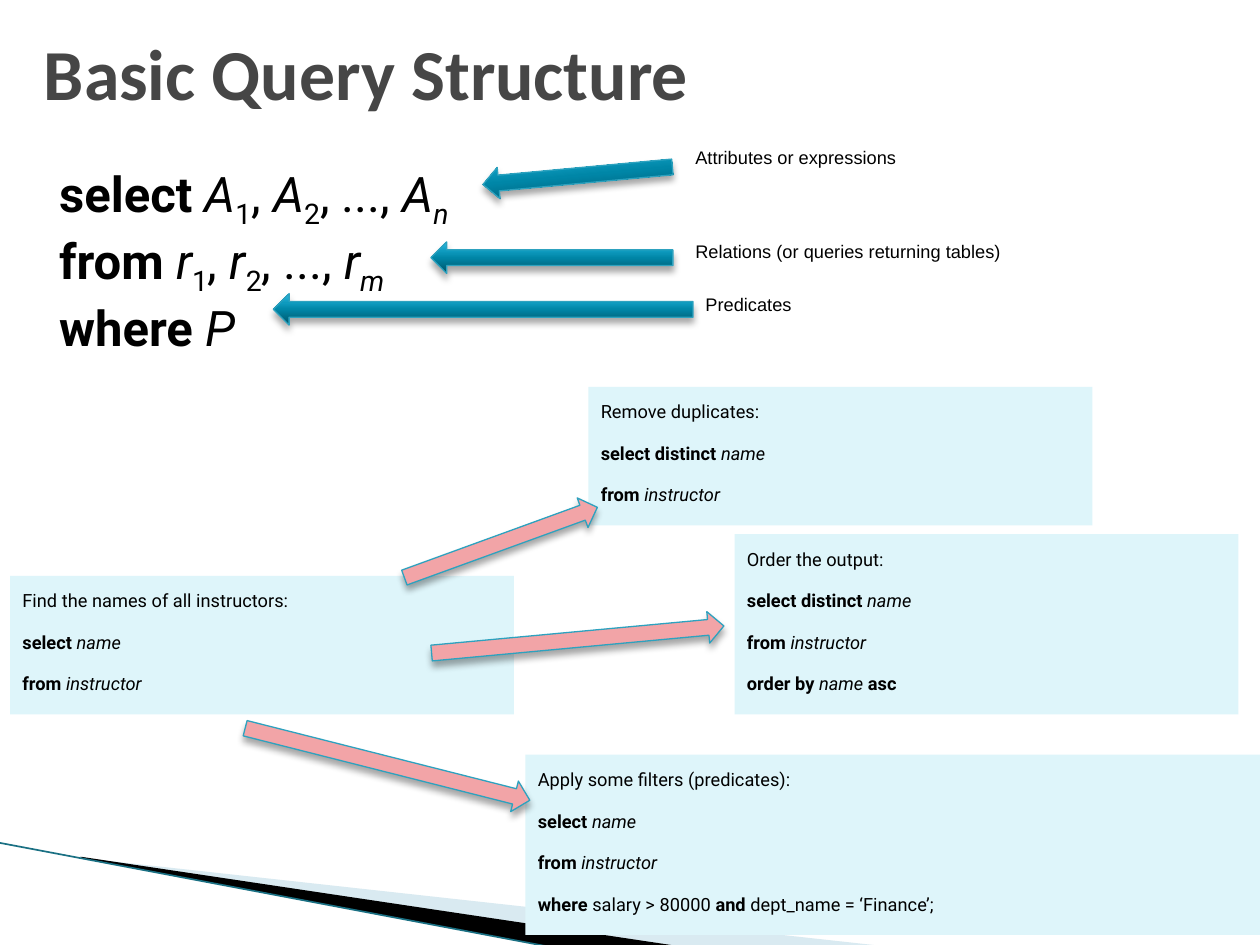
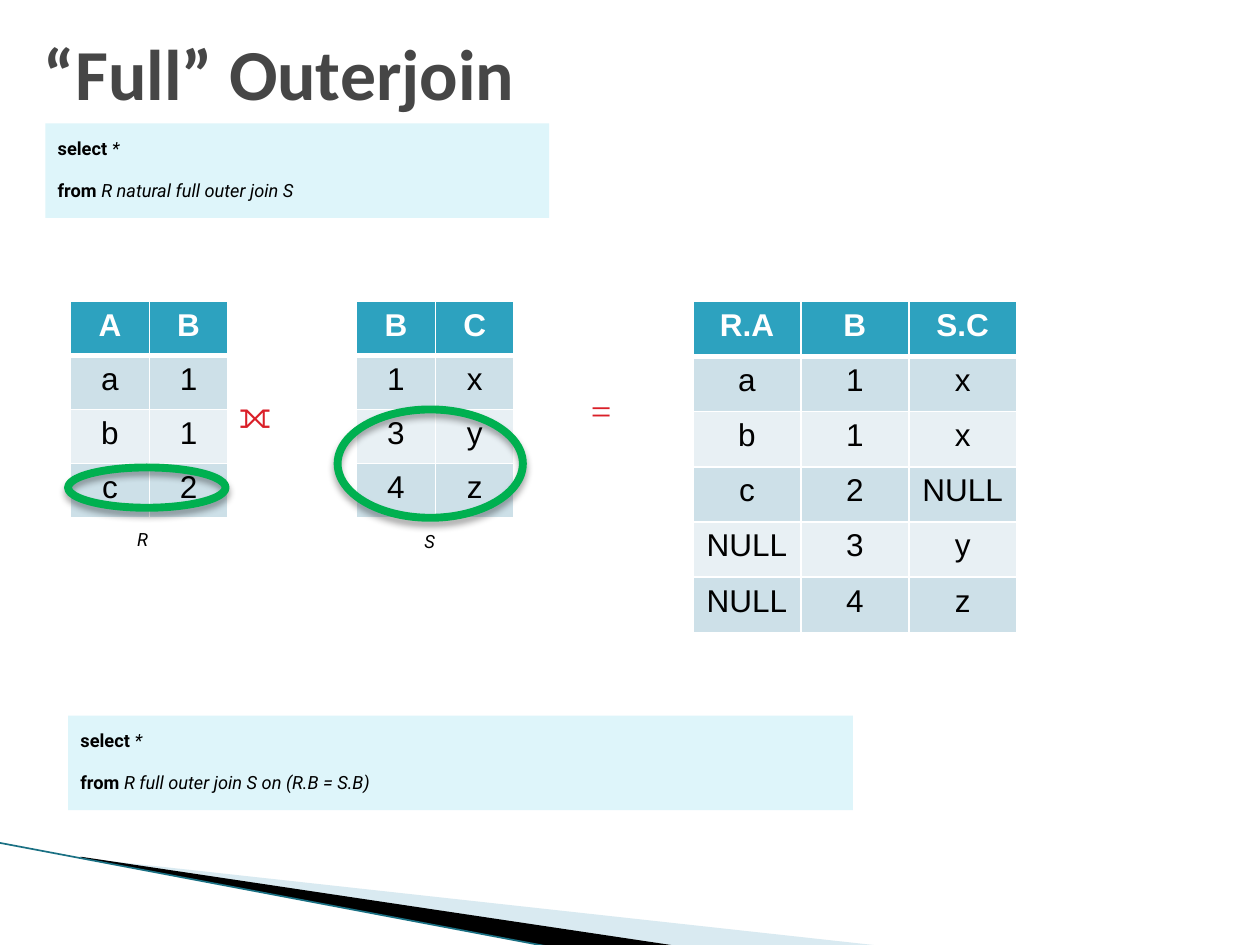
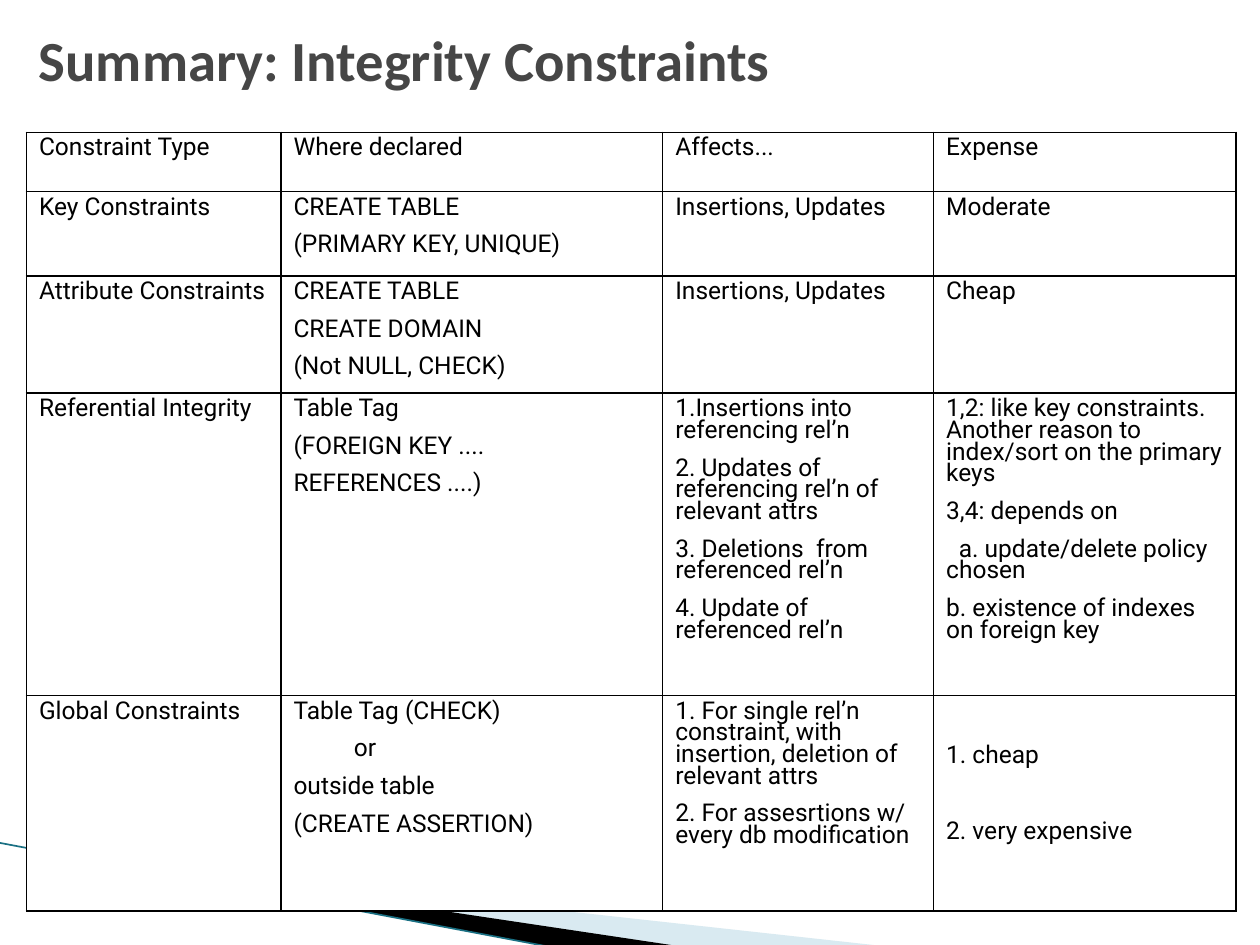
from pptx import Presentation
from pptx.dml.color import RGBColor
from pptx.enum.shapes import MSO_CONNECTOR, MSO_SHAPE
from pptx.enum.text import MSO_ANCHOR, PP_ALIGN
from pptx.oxml import parse_xml
from pptx.oxml.ns import nsdecls, qn
from pptx.util import Inches, Pt

BLACK = RGBColor(0, 0, 0)
WHITE = RGBColor(0xFF, 0xFF, 0xFF)
GREY = RGBColor(0x46, 0x46, 0x46)
SKY = RGBColor(0xA0, 0xCB, 0xDC)
EDGE = RGBColor(0x1A, 0x70, 0x83)
TEAL = RGBColor(0x2D, 0xA2, 0xBF)
PALE = RGBColor(0xDE, 0xF5, 0xFA)
PINK = RGBColor(0xF2, 0xA4, 0xA7)
GREEN = RGBColor(0x00, 0xB0, 0x50)
RED = RGBColor(0xDA, 0x1F, 0x28)
BANDS = RGBColor(0xCD, 0xE0, 0xE8), RGBColor(0xE8, 0xF0, 0xF4)
RAMP = (0, "005367"), (50, "0086A7"), (70, "0E9ABE"), (100, "2CB9E3")

SUPER, SUB = "30000", "-25000"

# Run styles: b bold, i italic, s subscript
SELECT, NAME = ("select ", "b"), ("name", "i")
FROM = [("from ", "b"), ("instructor", "i")]
DISTINCT = [("select distinct ", "b"), NAME]
STAR = [SELECT, ("*", "i")]


def place(at):
    return [Inches(n) for n in at]


def set_font(par, name, size, color):
    par.font.name = name
    par.font.size = Pt(size)
    par.font.color.rgb = color


def add_runs(par, runs, base=None):
    for text, style in runs:
        run = par.add_run()
        run.text = text
        run.font.bold = "b" in style
        run.font.italic = "i" in style
        shift = SUB if "s" in style else base
        if shift:
            run._r.get_or_add_rPr().set("baseline", shift)


def add_lines(frame, lines, name, size, color=BLACK, base=None, space=None):
    for k, runs in enumerate(lines):
        par = frame.paragraphs[0] if k == 0 else frame.add_paragraph()
        par.alignment = PP_ALIGN.LEFT
        if space:
            par.line_spacing = space
        set_font(par, name, size, color)
        add_runs(par, runs, base)


def add_text(slide, at, lines, name, size, color=BLACK, base=None):
    frame = slide.shapes.add_textbox(*place(at)).text_frame
    frame.word_wrap = True
    add_lines(frame, lines, name, size, color, base)
    return frame


def add_label(slide, at, text, name="Arial", size=18, color=BLACK, style=""):
    add_text(slide, at, [[(text, style)]], name, size, color, SUPER)


def add_title(slide, at, text, size=41):
    frame = add_text(slide, at, [[(text, "b")]], "Calibri", size, GREY)
    frame.vertical_anchor = MSO_ANCHOR.MIDDLE


def add_query(slide, at, lines):
    """Pale box with SQL in small raised type."""
    box = slide.shapes.add_shape(MSO_SHAPE.RECTANGLE, *place(at))
    box.shadow.inherit = False
    box.fill.solid()
    box.fill.fore_color.rgb = PALE
    box.line.fill.background()
    frame = box.text_frame
    frame.word_wrap = True
    frame.vertical_anchor = MSO_ANCHOR.TOP
    add_lines(frame, lines, "Roboto", 18, base=SUPER, space=1.1)


def add_shade(shape):
    """Soft shadow straight below the shape."""
    shape.shadow.inherit = False
    shape._element.spPr.find(qn("a:effectLst")).append(parse_xml(
        f'<a:outerShdw {nsdecls("a")} blurRad="{Pt(4)}" dist="{Pt(3)}" '
        'dir="5400000" rotWithShape="0"><a:srgbClr val="000000">'
        '<a:alpha val="35000"/></a:srgbClr></a:outerShdw>'))


def add_arrow(slide, at, turn=0, color=None):
    """Left arrow, filled with the teal ramp unless a color is given."""
    arrow = slide.shapes.add_shape(MSO_SHAPE.LEFT_ARROW, *place(at))
    arrow.rotation = turn
    add_shade(arrow)
    arrow.line.color.rgb = TEAL
    arrow.line.width = Pt(0.75)
    arrow.fill.solid()
    arrow.fill.fore_color.rgb = color or TEAL
    if color is None:
        stops = "".join(f'<a:gs pos="{pos * 1000}"><a:srgbClr val="{tone}"/></a:gs>'
                        for pos, tone in RAMP)
        props = arrow._element.spPr
        props.replace(props.find(qn("a:solidFill")), parse_xml(
            f'<a:gradFill {nsdecls("a")} rotWithShape="1"><a:gsLst>{stops}'
            '</a:gsLst><a:lin ang="16200000" scaled="0"/></a:gradFill>'))


def add_ring(slide, at):
    ring = slide.shapes.add_shape(MSO_SHAPE.OVAL, *place(at))
    add_shade(ring)
    ring.fill.background()
    ring.line.color.rgb = GREEN
    ring.line.width = Pt(4.5)


def set_frame(shape, at):
    """Give a freeform a new frame while its outline stays in place."""
    left, top, width, height = place(at)
    for pt in shape._element.iter(qn("a:pt")):
        pt.set("x", str(int(pt.get("x")) + shape.left - left))
        pt.set("y", str(int(pt.get("y")) + shape.top - top))
    for outline in shape._element.iter(qn("a:path")):
        outline.set("w", str(width))
        outline.set("h", str(height))
    shape.left, shape.top, shape.width, shape.height = left, top, width, height


def add_wedge(slide, at, points, color, alpha=100):
    first, *rest = [place(point) for point in points]
    build = slide.shapes.build_freeform(*first, scale=1.0)
    build.add_line_segments(rest)
    wedge = build.convert_to_shape()
    set_frame(wedge, at)
    wedge.shadow.inherit = False
    wedge.fill.solid()
    wedge.fill.fore_color.rgb = color
    wedge.line.fill.background()
    if alpha < 100:
        tone = wedge._element.spPr.find(qn("a:solidFill"))[0]
        tone.append(parse_xml(f'<a:alpha {nsdecls("a")} val="{alpha * 1000}"/>'))


def add_slide(deck):
    """Blank slide with the swoosh at the bottom left."""
    slide = deck.slides.add_slide(deck.slide_layouts[6])
    add_wedge(slide, (0.93, 6.08, 4.9, 1.11),
              [(0.65, 6.81), (7.02, 7.51), (5.38, 7.51), (0.66, 6.81)], SKY, 40)
    add_wedge(slide, (-0.06, 6.68, 4.9, 0.64),
              [(0.64, 6.8), (5.39, 7.51), (4.39, 7.52), (0.65, 6.81)], BLACK)
    line = slide.shapes.add_connector(
        MSO_CONNECTOR.STRAIGHT, *place((0, 6.69, 4.39, 7.52)))
    line.line.color.rgb = EDGE
    line.line.width = Pt(0.95)
    line._element.spPr.append(parse_xml(f'<a:effectLst {nsdecls("a")}/>'))
    return slide


def style_cell(cell, fill, edge, top=1, low=1):
    cell.fill.solid()
    cell.fill.fore_color.rgb = fill
    props = cell._tc.get_or_add_tcPr()
    for k, (side, width) in enumerate(zip("LRTB", (1, 1, top, low))):
        props.insert(k, parse_xml(
            f'<a:ln{side} {nsdecls("a")} w="{Pt(width)}"><a:solidFill>'
            f'<a:srgbClr val="{edge}"/></a:solidFill></a:ln{side}>'))


def add_grid(slide, left, top, widths, heights):
    frame = slide.shapes.add_table(
        len(heights), len(widths),
        *place((left, top, sum(widths), sum(heights))))
    table = frame.table
    table.first_row = table.horz_banding = False
    for col, width in zip(table.columns, widths):
        col.width = Inches(width)
    for row, height in zip(table.rows, heights):
        row.height = Inches(height)
    return table


def add_relation(slide, left, width, height, rows):
    """Banded table of equal cells; each row is a string of words."""
    rows = [row.split() for row in rows]
    cols, count = len(rows[0]), len(rows)
    table = add_grid(slide, left, 2.39, [width / cols] * cols,
                     [height / count] * count)
    for r, row in enumerate(rows):
        for c, text in enumerate(row):
            cell = table.cell(r, c)
            fill = BANDS[(r - 1) % 2] if r else TEAL
            style_cell(cell, fill, WHITE, 3 if r == 1 else 1, 1 if r else 3)
            par = cell.text_frame.paragraphs[0]
            par.alignment = PP_ALIGN.CENTER
            set_font(par, "Arial", 18, BLACK if r else WHITE)
            add_runs(par, [(text, "" if r else "b")])


def fill_cell(cell, text, gap=9.1, shift=None):
    """One paragraph a line; shift maps a line number to its first-line indent."""
    style_cell(cell, WHITE, BLACK)
    frame = cell.text_frame
    for k, line in enumerate(text.split("\n")):
        par = frame.paragraphs[0] if k == 0 else frame.add_paragraph()
        par.line_spacing = 0.75
        if k:
            par.space_before = Pt(gap)
        if shift and k in shift:
            par._p.get_or_add_pPr().set("indent", str(Inches(shift[k])))
        set_font(par, "Roboto", 14, BLACK)
        par.add_run().text = line


def make_query(deck):
    slide = add_slide(deck)
    add_title(slide, (0.25, 0.17, 9.25, 0.8), "Basic Query Structure")

    def series(word, letter, last):
        return [(word, "b"), (letter, "i"), ("1", "s"), (", ", ""),
                (letter, "i"), ("2", "s"), (", ..., ", ""),
                (letter, "i"), (last, "is")]

    body = add_text(slide, (0.25, 1.25, 3.92, 1.92),
                    [series("select ", "A", "n"), series("from ", "r", "m"),
                     [("where ", "b"), ("P", "i")]], "Roboto", 28)
    body.margin_left = Inches(0.22)

    add_label(slide, (5.42, 1.08, 2.99, 0.4), "Attributes or expressions")
    add_label(slide, (5.42, 1.83, 4.43, 0.4), "Relations (or queries returning tables)")
    add_label(slide, (5.5, 2.25, 1.39, 0.4), "Predicates")
    add_arrow(slide, (3.83, 1.27, 1.51, 0.25), 354.7)
    add_arrow(slide, (3.42, 1.92, 1.92, 0.25))
    add_arrow(slide, (2.17, 2.33, 3.33, 0.25))

    add_query(slide, (0.08, 4.57, 4, 1.1),
              [[("Find the names of all instructors:", "")], [SELECT, NAME], FROM])
    add_query(slide, (4.17, 5.99, 5.92, 1.43),
              [[("Apply some filters (predicates):", "")], [SELECT, NAME], FROM,
               [("where ", "b"), ("salary > 80000 ", ""), ("and ", "b"),
                ("dept_name = ‘Finance’;", "")]])
    add_query(slide, (4.67, 3.07, 4, 1.1),
              [[("Remove duplicates:", "")], DISTINCT, FROM])
    add_query(slide, (5.83, 4.24, 4, 1.43),
              [[("Order the output:", "")], DISTINCT, FROM,
               [("order by ", "b"), ("name ", "i"), ("asc", "b")]])
    add_arrow(slide, (3.16, 4.18, 1.63, 0.25), 160, PINK)
    add_arrow(slide, (3.42, 4.95, 2.33, 0.25), 174.7, PINK)
    add_arrow(slide, (1.91, 5.94, 2.33, 0.25), 194.2, PINK)


def make_join(deck):
    slide = add_slide(deck)
    add_relation(slide, 5.5, 2.57, 2.63,
                 ["R.A B S.C", "a 1 x", "b 1 x", "c 2 NULL", "NULL 3 y", "NULL 4 z"])
    add_title(slide, (0.25, 0.17, 4.58, 0.8), "“Full” Outerjoin")
    add_query(slide, (0.36, 0.98, 4, 0.75),
              [STAR, [("from ", "b"), ("R natural full outer join S", "i")]])
    add_relation(slide, 0.56, 1.25, 1.72, ["A B", "a 1", "b 1", "c 2"])
    add_relation(slide, 2.83, 1.25, 1.72, ["B C", "1 x", "3 y", "4 z"])
    add_label(slide, (0.99, 4.11, 0.38, 0.4), "R", "Roboto", style="i")
    add_label(slide, (3.27, 4.13, 0.38, 0.4), "S", "Roboto", style="i")
    add_label(slide, (1.8, 3, 0.78, 0.71), "⟗", "Times New Roman", 36, RED)
    add_label(slide, (4.59, 2.97, 0.49, 0.71), "=", "Times New Roman", 36, RED)
    add_ring(slide, (0.54, 3.71, 1.25, 0.32))
    add_ring(slide, (2.68, 3.25, 1.47, 0.86))
    add_query(slide, (0.54, 5.68, 6.23, 0.75),
              [STAR, [("from ", "b"), ("R full outer join S on (R.B = S.B)", "i")]])


def make_summary(deck):
    slide = add_slide(deck)
    add_title(slide, (0.21, 0.27, 8.83, 0.4), "Summary: Integrity Constraints", 32.4)
    rows = [
        ("Constraint Type", "Where declared", "Affects...", "Expense"),
        ("Key Constraints", "CREATE TABLE\n(PRIMARY KEY, UNIQUE)",
         "Insertions, Updates", "Moderate"),
        ("Attribute Constraints", "CREATE TABLE\nCREATE DOMAIN\n(Not NULL, CHECK)",
         "Insertions, Updates", "Cheap"),
        ("Referential Integrity", "Table Tag\n(FOREIGN KEY ....\nREFERENCES ....)",
         "1.Insertions into referencing rel’n\n"
         "2. Updates of referencing rel’n of relevant attrs\n"
         "3. Deletions  from referenced rel’n\n"
         "4. Update of referenced rel’n",
         "1,2: like key constraints. Another reason to index/sort on the primary keys\n"
         "3,4: depends on\n"
         "a. update/delete policy chosen\n"
         "b. existence of indexes on foreign key"),
        ("Global Constraints",
         "Table Tag (CHECK)\nor\noutside table\n(CREATE ASSERTION)",
         "1. For single rel’n constraint, with insertion, deletion of relevant attrs\n"
         "2. For assesrtions w/ every db modification",
         "1. cheap\n2. very expensive"),
    ]
    indents = {(3, 3): {2: 0.1}, (4, 1): {1: 0.48}}
    table = add_grid(slide, 0.21, 1.05, [2.02, 3.03, 2.15, 2.4],
                     [0.47, 0.67, 0.93, 2.4, 1.71])
    cost = 4, 3
    for r, row in enumerate(rows):
        for c, text in enumerate(row):
            gap = 31 if (r, c) == cost else 9.1
            fill_cell(table.cell(r, c), text, gap, indents.get((r, c)))
    table.cell(*cost).margin_top = Inches(0.4)


def main():
    deck = Presentation()
    deck.slide_width, deck.slide_height = Inches(10), Inches(7.5)
    make_query(deck)
    make_join(deck)
    make_summary(deck)
    deck.save("out.pptx")


if __name__ == "__main__":
    main()
